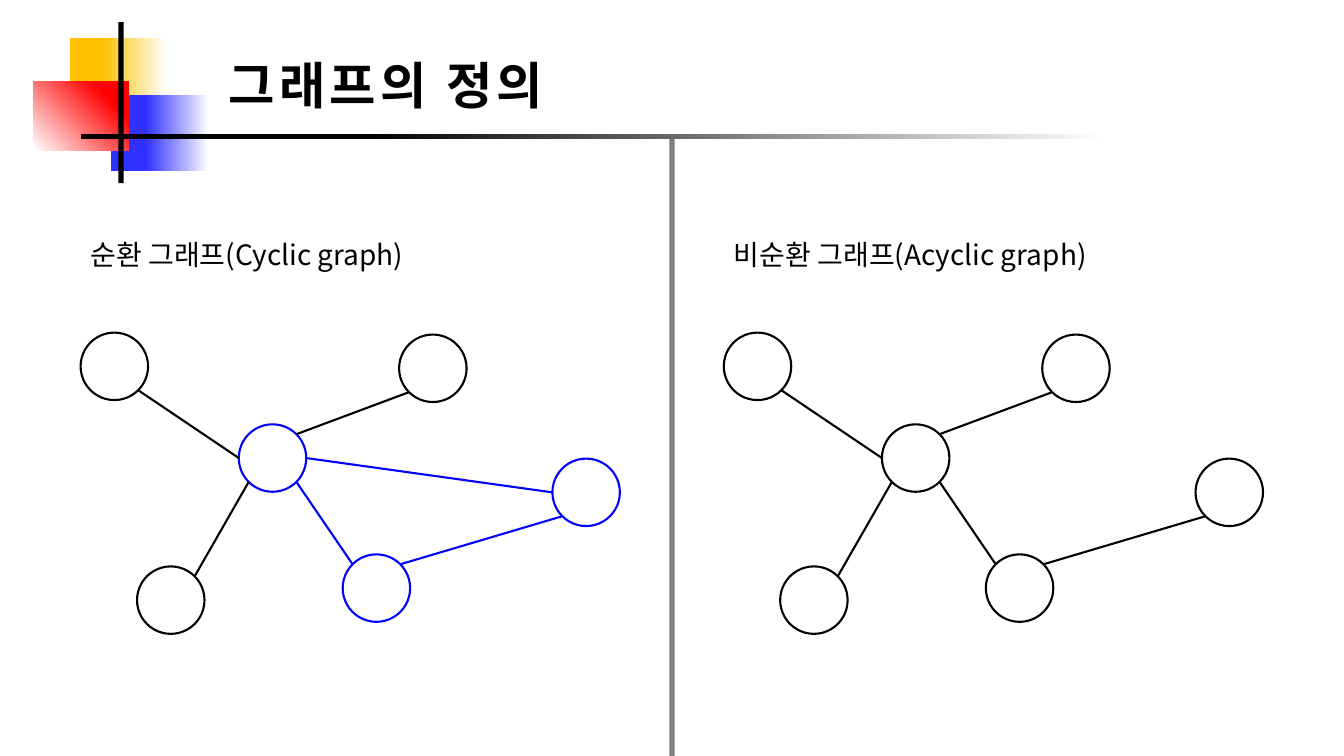
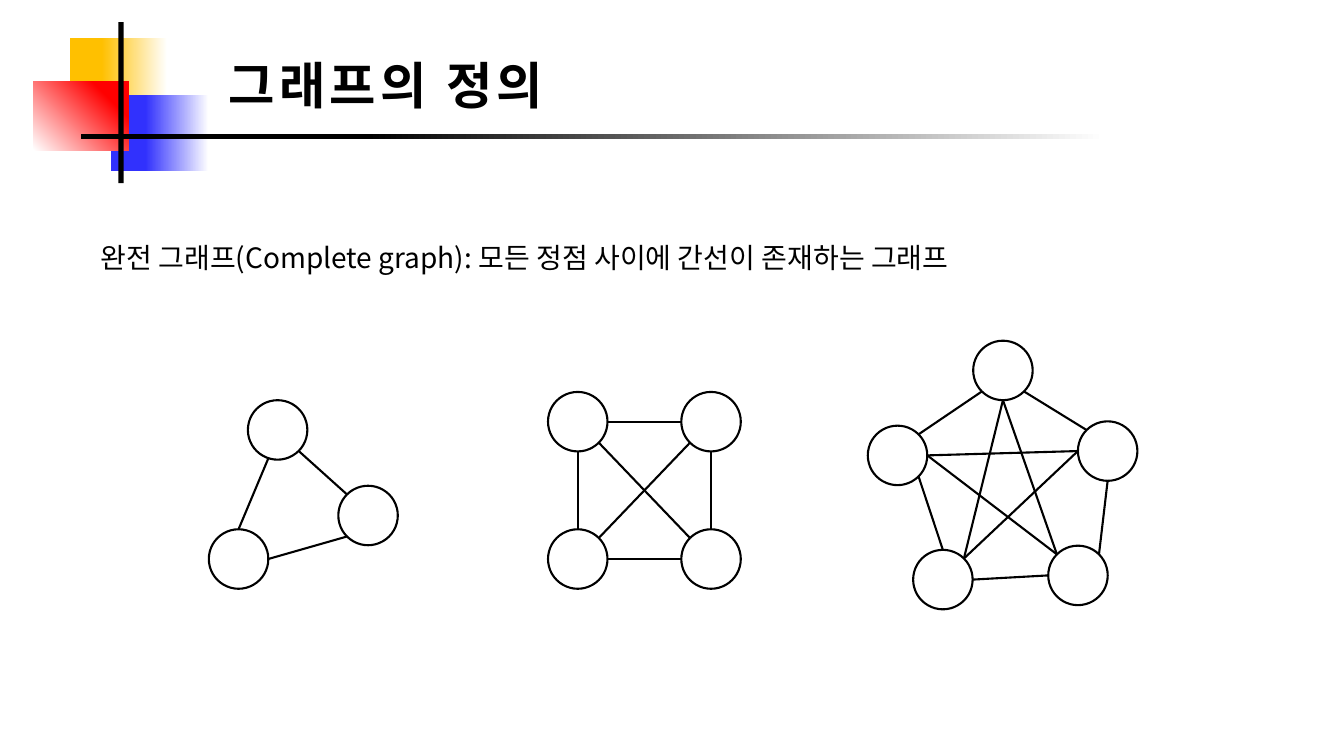
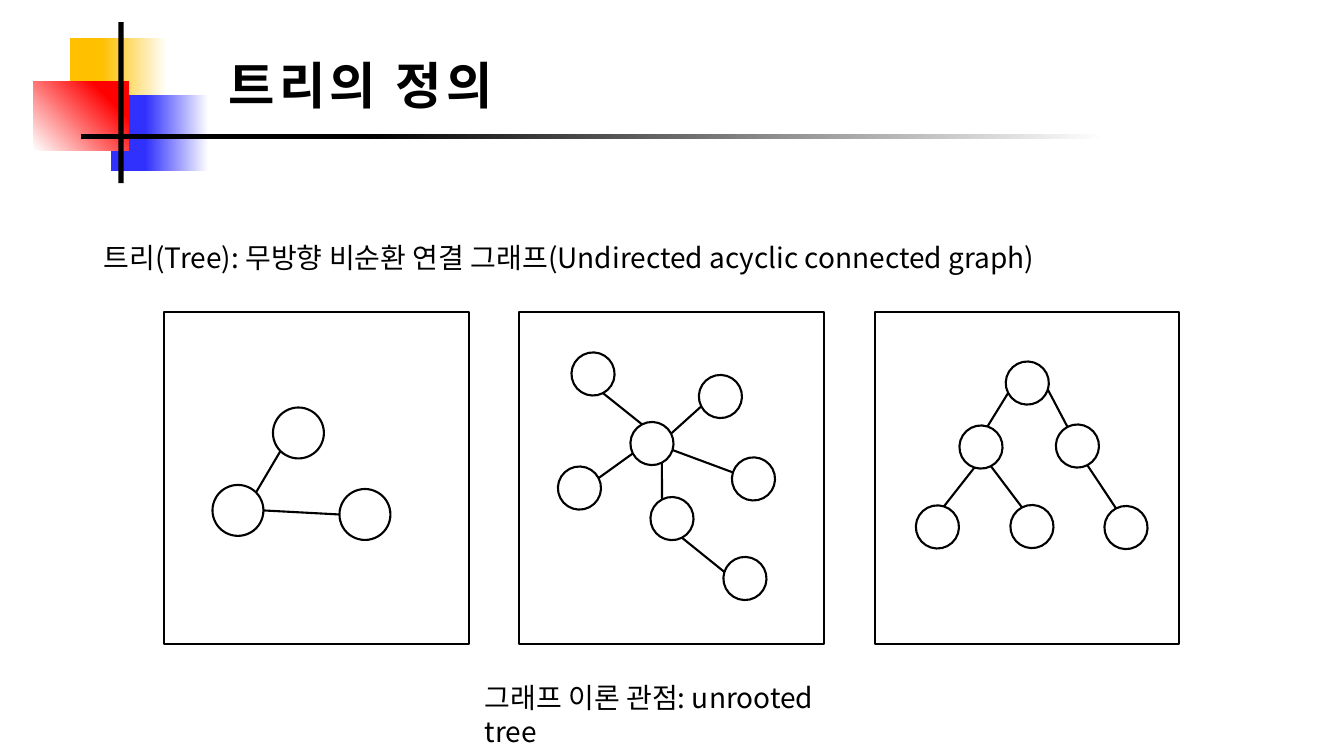
from dataclasses import dataclass
from math import cos, radians, sin

from lxml.etree import SubElement
from pptx import Presentation
from pptx.dml.color import RGBColor
from pptx.enum.shapes import MSO_CONNECTOR as Connector, MSO_SHAPE as Preset
from pptx.enum.text import MSO_ANCHOR as Anchor, PP_ALIGN as Align
from pptx.oxml.ns import qn
from pptx.shapes.autoshape import Shape
from pptx.slide import Slide
from pptx.text.text import TextFrame
from pptx.util import Pt

COLORS = {
    "ink": "000000", "paper": "FFFFFF", "cycle": "0202FC",
    "yellow": "FFC000", "blue": "3131FD", "red": "FF0000",
}
FONT = "Noto Sans CJK KR"
STROKE = 1.5

# Points on a circle's rim, in degrees counterclockwise from the right
E, NE, N, NW, W, SW, S, SE = range(0, 360, 45)


@dataclass(frozen=True)
class Box:
    left: float
    top: float
    width: float
    height: float

    def emu(self) -> tuple[Pt, Pt, Pt, Pt]:
        return Pt(self.left), Pt(self.top), Pt(self.width), Pt(self.height)


@dataclass(frozen=True)
class Fade:
    """A rectangle fading from paper to a colour, which is full at `full`."""
    box: Box
    color: str
    full: float
    angle: float = 180


@dataclass(frozen=True)
class Edge:
    start: int
    start_side: float
    end: int
    end_side: float


@dataclass(frozen=True)
class Graph:
    centers: list[tuple[float, float]]
    edges: list[Edge]
    diameter: float
    rotation: float = 0
    cycle: frozenset[int] = frozenset()


TITLE_BOX = Box(156.2, 34.6, 527, 51.1)
SQUARES = [
    Fade(Box(49.9, 27.2, 69.5, 68.4), "yellow", 0.67),
    Fade(Box(79.6, 67.9, 69.5, 54.3), "blue", 0.65),
    Fade(Box(23.7, 58, 68.2, 49.2), "red", 0.78, 45),
]
UPRIGHT = Box(84.5, 15.8, 3.8, 115)
UNDERLINE = Fade(Box(57.8, 95.8, 731.5, 3.6), "ink", 0.72)

# Slide 1: one graph with a cycle, the other without
SPRAWL = [(81.7, 261.7), (194.7, 327.2), (122, 428.7),
          (268.9, 420.1), (309.2, 263.1), (418.7, 351.7)]
ACYCLIC_EDGES = [Edge(0, SE, 1, W), Edge(2, NE, 1, SW), Edge(3, NW, 1, SE),
                 Edge(4, SW, 1, NE), Edge(5, SW, 3, NE)]
CLOSING_EDGE = Edge(5, W, 1, E)
HALF_SHIFT = 459.4
DIVIDER = Box(478.1, 99.4, 3.8, 440.6)

# Slide 2: complete graphs
COMPLETE_SIZE = 42.5
COMPLETE_GRAPHS = [
    Graph([(198.3, 307.1), (170.4, 399.3), (262.9, 368.2)],
          [Edge(0, 252, 1, N), Edge(0, SE, 2, NW), Edge(2, SW, 1, E)],
          COMPLETE_SIZE),
    Graph([(x, y) for x in (412.7, 507.9) for y in (301.2, 399.3)],
          [Edge(0, S, 1, N), Edge(2, W, 0, E), Edge(3, W, 1, E),
           Edge(2, S, 3, N), Edge(0, SE, 3, NW), Edge(2, SW, 1, NE)],
          COMPLETE_SIZE),
    Graph([(716.4, 264.6), (641.1, 325.3), (791.2, 322.2),
           (673.5, 414), (770, 411)],
          [Edge(1, NE, 0, SW), Edge(2, NW, 0, SE), Edge(1, SE, 3, N),
           Edge(3, E, 4, W), Edge(4, NE, 2, S), Edge(1, E, 2, W),
           Edge(3, NE, 0, S), Edge(1, E, 4, NW), Edge(4, NW, 0, S),
           Edge(3, NE, 2, W)],
          COMPLETE_SIZE),
]

# Slide 3: trees, each in a frame
TILT = 17.6
TREES = [
    Graph([(170, 364.6), (213.2, 309.3), (260.7, 367.5)],
          [Edge(2, W, 0, E), Edge(1, SW, 0, NE)], 36.4),
    Graph([(423.6, 267.1), (465.7, 316.8), (413.9, 348.6), (480, 370.4),
           (514.6, 283.2), (538.2, 342.1), (532.1, 413.2)],
          [Edge(0, SE, 1, NW), Edge(2, NE, 1, SW), Edge(3, NW, 1, SE),
           Edge(5, W, 1, E), Edge(4, SW, 1, NE), Edge(3, SE, 6, W)],
          30.8, TILT),
    Graph([(733.8, 273.6), (700.7, 319.3), (769.6, 318.6),
           (669.6, 376.4), (737.1, 376.1), (804.3, 376.8)],
          [Edge(3, N, 1, S), Edge(1, N, 0, SW), Edge(2, NW, 0, E),
           Edge(4, NW, 1, SE), Edge(5, NW, 2, SE)],
          30.8, TILT),
]
FRAME = Box(117.2, 222.8, 217.6, 237.1)
FRAME_PITCH = 253.8


def rgb(name: str) -> RGBColor:
    return RGBColor.from_string(COLORS[name])


def write(frame: TextFrame, text: str, size: float, bold: bool = False,
          spacing: float = 0) -> None:
    frame.word_wrap = True
    paragraph = frame.paragraphs[0]
    paragraph.alignment = Align.LEFT
    run = paragraph.add_run()
    run.text = text
    run.font.name = FONT
    run.font.size = Pt(size)
    run.font.bold = bold
    run.font.color.rgb = rgb("ink")
    properties = run.font._element
    SubElement(properties, qn("a:ea")).set("typeface", FONT)
    if spacing:
        properties.set("spc", str(int(spacing * 100)))


def add_label(slide: Slide, text: str, box: Box) -> None:
    frame = slide.shapes.add_textbox(*box.emu()).text_frame
    frame.margin_top = Pt(4.2)
    write(frame, text, 20)
    frame.paragraphs[0].line_spacing = Pt(24.3)


def add_plain(slide: Slide, preset: Preset, box: Box, fill: str | None = None,
              line: str | None = None) -> Shape:
    shape = slide.shapes.add_shape(preset, *box.emu())
    shape.shadow.inherit = False
    if fill:
        shape.fill.solid()
        shape.fill.fore_color.rgb = rgb(fill)
    else:
        shape.fill.background()
    if line:
        shape.line.color.rgb = rgb(line)
        shape.line.width = Pt(STROKE)
    else:
        shape.line.fill.background()
    return shape


def add_fade(slide: Slide, fade: Fade) -> None:
    fill = add_plain(slide, Preset.RECTANGLE, fade.box).fill
    fill.gradient()
    fill.gradient_angle = fade.angle
    ends = ((0, "paper"), (fade.full, fade.color))
    for stop, (position, color) in zip(fill.gradient_stops, ends):
        stop.position = position
        stop.color.rgb = rgb(color)


def add_graph(slide: Slide, graph: Graph, shift: float = 0) -> None:
    radius = graph.diameter / 2

    def rim(node: int, side: float) -> tuple[Pt, Pt]:
        x, y = graph.centers[node]
        angle = radians(side - graph.rotation)
        return (Pt(x + shift + radius * cos(angle)),
                Pt(y - radius * sin(angle)))

    for index, (x, y) in enumerate(graph.centers):
        box = Box(x + shift - radius, y - radius,
                  graph.diameter, graph.diameter)
        color = "cycle" if index in graph.cycle else "ink"
        vertex = add_plain(slide, Preset.OVAL, box, "paper", color)
        vertex.rotation = graph.rotation

    for edge in graph.edges:
        line = slide.shapes.add_connector(
            Connector.STRAIGHT, *rim(edge.start, edge.start_side),
            *rim(edge.end, edge.end_side))
        on_cycle = {edge.start, edge.end} <= graph.cycle
        line.line.color.rgb = rgb("cycle" if on_cycle else "ink")
        line.line.width = Pt(STROKE)
        SubElement(line._element.spPr, qn("a:effectLst"))


def add_titled_slide(deck: Presentation, text: str) -> Slide:
    slide = deck.slides.add_slide(deck.slide_layouts[5])
    title = slide.shapes.title
    title.left, title.top, title.width, title.height = TITLE_BOX.emu()
    title.text_frame.vertical_anchor = Anchor.MIDDLE
    write(title.text_frame, text, 36, bold=True, spacing=3)
    for square in SQUARES:
        add_fade(slide, square)
    add_plain(slide, Preset.RECTANGLE, UPRIGHT, "ink")
    add_fade(slide, UNDERLINE)
    return slide


def build_cycles(deck: Presentation) -> None:
    slide = add_titled_slide(deck, "그래프의 정의")
    divider = add_plain(slide, Preset.RECTANGLE, DIVIDER, "ink")
    tint = divider._element.spPr.find(qn("a:solidFill"))[0]
    SubElement(tint, qn("a:alpha")).set("val", "50000")
    cyclic = Graph(SPRAWL, ACYCLIC_EDGES + [CLOSING_EDGE], 48.2,
                   cycle=frozenset({1, 3, 5}))
    acyclic = Graph(SPRAWL, ACYCLIC_EDGES, 48.2)
    halves = [("순환 그래프(Cyclic graph)", cyclic),
              ("비순환 그래프(Acyclic graph)", acyclic)]
    for index, (label, graph) in enumerate(halves):
        shift = index * HALF_SHIFT
        add_label(slide, label, Box(57.6 + shift, 164.9, 317.5, 31.7))
        add_graph(slide, graph, shift)


def build_complete(deck: Presentation) -> None:
    slide = add_titled_slide(deck, "그래프의 정의")
    add_label(slide, "완전 그래프(Complete graph): 모든 정점 사이에 간선이 존재하는 그래프",
              Box(64.8, 167, 648.7, 31.7))
    for graph in COMPLETE_GRAPHS:
        add_graph(slide, graph)


def build_trees(deck: Presentation) -> None:
    slide = add_titled_slide(deck, "트리의 정의")
    add_label(slide, "트리(Tree): 무방향 비순환 연결 그래프(Undirected acyclic connected graph)",
              Box(67, 167.3, 777.6, 31.7))
    for index, tree in enumerate(TREES):
        frame = Box(FRAME.left + index * FRAME_PITCH, FRAME.top,
                    FRAME.width, FRAME.height)
        add_plain(slide, Preset.RECTANGLE, frame, line="ink")
        add_graph(slide, tree)
    add_label(slide, "그래프 이론 관점: unrooted tree",
              Box(339.1, 481.7, 261.6, 31.7))


def main() -> None:
    deck = Presentation()
    deck.slide_width, deck.slide_height = Pt(960), Pt(540)
    build_cycles(deck)
    build_complete(deck)
    build_trees(deck)
    deck.save("out.pptx")


if __name__ == "__main__":
    main()
